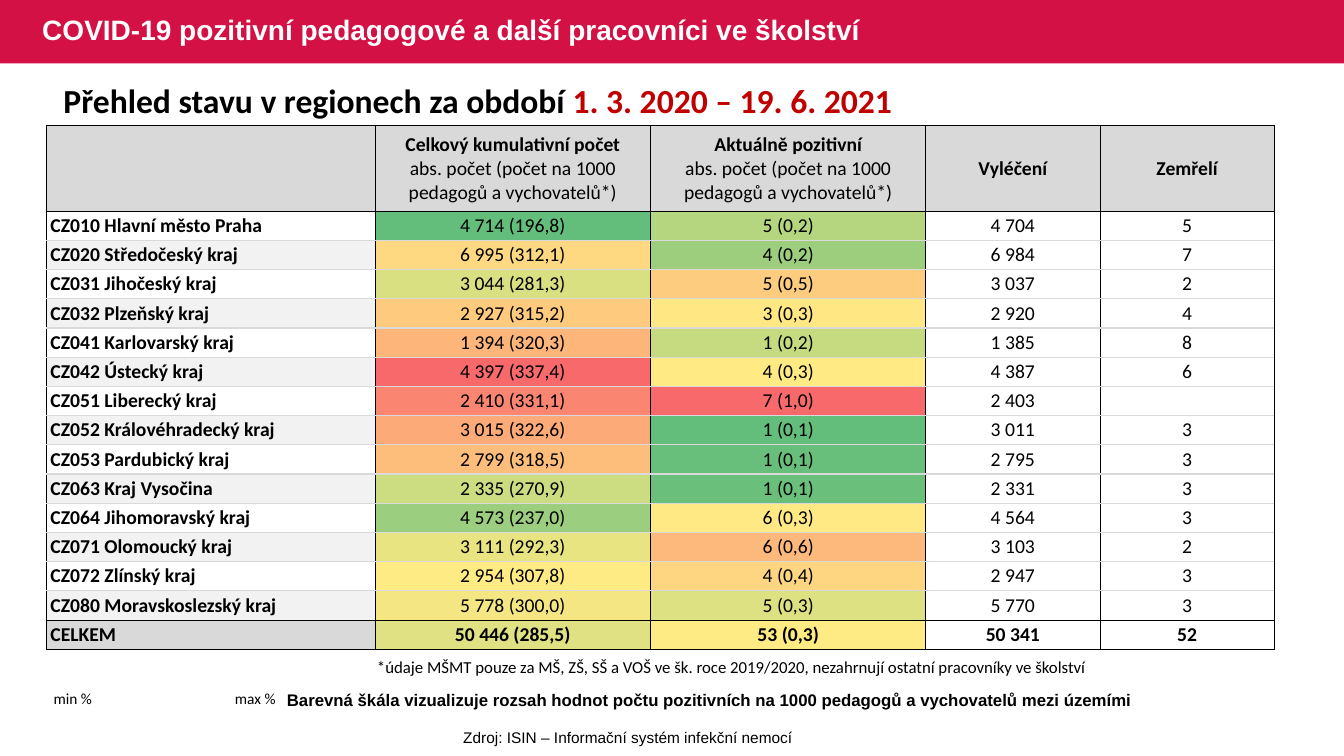
from dataclasses import dataclass

from lxml.etree import SubElement
from pptx import Presentation
from pptx.dml.color import RGBColor
from pptx.enum.shapes import MSO_SHAPE
from pptx.enum.text import MSO_ANCHOR, PP_ALIGN
from pptx.oxml.ns import qn
from pptx.util import Cm, Pt


@dataclass(frozen=True)
class Theme:
    heading_font: str = "Arial"
    body_font: str = "Calibri"
    brand: str = "D31145"
    accent: str = "C00000"
    ink: str = "000000"
    paper: str = "FFFFFF"
    header: str = "D9D9D9"
    stripe: str = "F2F2F2"
    title_size: float = 20
    subtitle_size: float = 24
    table_size: int = 14
    note_size: float = 12
    small_size: float = 11
    frame_width: float = 0.5
    rule_width: float = 1


HEADERS = [
    "",
    "Celkový kumulativní počet\nabs. počet (počet na 1000 pedagogů a vychovatelů*)",
    "Aktuálně pozitivní\nabs. počet (počet na 1000 pedagogů a vychovatelů*)",
    "Vyléčení",
    "Zemřelí",
]
REGIONS = [
    ("CZ010 Hlavní město Praha", "4 714 (196,8)", "5 (0,2)", "4 704", "5", "63BE7B", "B5D57F"),
    ("CZ020 Středočeský kraj", "6 995 (312,1)", "4 (0,2)", "6 984", "7", "FED981", "9CCE7E"),
    ("CZ031 Jihočeský kraj", "3 044 (281,3)", "5 (0,5)", "3 037", "2", "D9E081", "FECC7E"),
    ("CZ032 Plzeňský kraj", "2 927 (315,2)", "3 (0,3)", "2 920", "4", "FECB7E", "FFE784"),
    ("CZ041 Karlovarský kraj", "1 394 (320,3)", "1 (0,2)", "1 385", "8", "FDB57A", "C6DA80"),
    ("CZ042 Ústecký kraj", "4 397 (337,4)", "4 (0,3)", "4 387", "6", "F8696B", "FFEA84"),
    ("CZ051 Liberecký kraj", "2 410 (331,1)", "7 (1,0)", "2 403", "", "FA8571", "F8696B"),
    ("CZ052 Královéhradecký kraj", "3 015 (322,6)", "1 (0,1)", "3 011", "3", "FCAB78", "63BE7B"),
    ("CZ053 Pardubický kraj", "2 799 (318,5)", "1 (0,1)", "2 795", "3", "FDBD7B", "68BF7B"),
    ("CZ063 Kraj Vysočina", "2 335 (270,9)", "1 (0,1)", "2 331", "3", "CBDC81", "6AC07B"),
    ("CZ064 Jihomoravský kraj", "4 573 (237,0)", "6 (0,3)", "4 564", "3", "9BCE7E", "FFE984"),
    ("CZ071 Olomoucký kraj", "3 111 (292,3)", "6 (0,6)", "3 103", "2", "E9E482", "FDB87B"),
    ("CZ072 Zlínský kraj", "2 954 (307,8)", "4 (0,4)", "2 947", "3", "FFEB84", "FED580"),
    ("CZ080 Moravskoslezský kraj", "5 778 (300,0)", "5 (0,3)", "5 770", "3", "F4E783", "DEE182"),
    ("CELKEM", "50 446 (285,5)", "53 (0,3)", "50 341", "52", "DFE182", "FFEB84"),
]


class RegionSlide:
    def __init__(self, presentation, theme):
        self.theme = theme
        self.slide = presentation.slides.add_slide(presentation.slide_layouts[5])

    def style(self, run, size, font, bold=False, color=None):
        run.font.size = Pt(size)
        run.font.name = font
        run.font.bold = bold
        run.font.color.rgb = RGBColor.from_string(color or self.theme.ink)

    def title(self, text, left, top, width, height):
        heading = self.slide.shapes.title
        heading.left, heading.top, heading.width, heading.height = map(Cm, (left, top, width, height))
        heading.text_frame.text = text
        heading.text_frame.vertical_anchor = MSO_ANCHOR.MIDDLE
        line = heading.text_frame.paragraphs[0]
        line.alignment = PP_ALIGN.LEFT
        line.line_spacing = 0.9
        self.style(line.runs[0], self.theme.title_size, self.theme.heading_font, True, self.theme.paper)

    def band(self, width, height):
        band = self.slide.shapes.add_shape(MSO_SHAPE.RECTANGLE, 0, 0, Cm(width), Cm(height))
        band.shadow.inherit = False
        band.fill.solid()
        band.fill.fore_color.rgb = RGBColor.from_string(self.theme.brand)
        band.line.fill.background()
        self.slide.shapes.title.element.addprevious(band.element)

    def text(self, text, left, top, width, height, size, font, bold=False, align=PP_ALIGN.LEFT):
        box = self.slide.shapes.add_textbox(Cm(left), Cm(top), Cm(width), Cm(height))
        box.text_frame.word_wrap = True
        box.text_frame.text = text
        line = box.text_frame.paragraphs[0]
        line.alignment = align
        self.style(line.runs[0], size, font, bold)
        return box.text_frame

    def subtitle(self, text, period, *place):
        frame = self.text(text, *place, self.theme.subtitle_size, self.theme.body_font, True)
        dates = frame.paragraphs[0].add_run()
        dates.text = period
        self.style(dates, self.theme.subtitle_size, self.theme.body_font, True, self.theme.accent)

    def scale_labels(self, low, high, left, top, width, height):
        frame = self.text(f"{low}\t{high}", left, top, width, height, self.theme.small_size, self.theme.body_font)
        frame.margin_left = frame.margin_right = frame.margin_top = frame.margin_bottom = 0
        properties = frame.paragraphs[0]._p.get_or_add_pPr()
        stops = SubElement(properties, qn("a:tabLst"))
        SubElement(stops, qn("a:tab"), pos=str(Cm(width)), algn="r")

    def grid(self, left, top, widths, heights):
        table = self.slide.shapes.add_table(
            len(heights), len(widths), Cm(left), Cm(top), Cm(sum(widths)), Cm(sum(heights))
        ).table
        table.first_row = table.horz_banding = False
        for column, width in zip(table.columns, widths):
            column.width = Cm(width)
        for row, height in zip(table.rows, heights):
            row.height = Cm(height)
        return table

    def border(self, cell, side, framed):
        width = self.theme.frame_width if framed else self.theme.rule_width
        line = SubElement(cell._tc.get_or_add_tcPr(), qn(f"a:ln{side}"), w=str(Pt(width)))
        fill = SubElement(line, qn("a:solidFill"))
        SubElement(fill, qn("a:srgbClr"), val=self.theme.ink if framed else self.theme.header)

    def cell(self, cell, text, fill, bold=False, align=PP_ALIGN.CENTER, margin=0.03):
        cell.margin_left = cell.margin_right = Cm(margin)
        cell.margin_top = cell.margin_bottom = 0
        cell.vertical_anchor = MSO_ANCHOR.MIDDLE
        if fill:
            cell.fill.solid()
            cell.fill.fore_color.rgb = RGBColor.from_string(fill)
        else:
            cell.fill.background()
        cell.text_frame.text = text
        for index, line in enumerate(cell.text_frame.paragraphs):
            line.alignment = align
            for run in line.runs:
                self.style(run, self.theme.table_size, self.theme.body_font, bold and index == 0)
            if not line.runs:
                SubElement(line._p, qn("a:endParaRPr"), sz=str(self.theme.table_size * 100))

    def heat_scale(self, regions, *place):
        table = self.grid(*place)
        for row, (*_, total_heat, current_heat) in enumerate(regions):
            for column, heat in enumerate((total_heat, current_heat)):
                cell = table.cell(row, column)
                for side in "LRTB":
                    line = SubElement(cell._tc.get_or_add_tcPr(), qn(f"a:ln{side}"))
                    SubElement(line, qn("a:noFill"))
                self.cell(cell, "", heat)

    def overview(self, headers, regions, *place):
        table = self.grid(*place)
        last = len(regions)
        for row, values in enumerate([headers, *(region[:5] for region in regions)]):
            label_fill = None if row % 2 else self.theme.stripe
            if row in (0, last):
                label_fill = self.theme.header
            for column, value in enumerate(values):
                cell = table.cell(row, column)
                label = column == 0
                self.border(cell, "L", True)
                self.border(cell, "R", True)
                self.border(cell, "T", row in (0, 1, last))
                self.border(cell, "B", row in (0, last - 1, last))
                fill = label_fill if label or row == 0 else None
                align = PP_ALIGN.LEFT if label else PP_ALIGN.CENTER
                margin = 0.1 if label or row == 0 else 0.03
                self.cell(cell, value, fill, label or row in (0, last), align, margin)


def main():
    presentation = Presentation()
    presentation.slide_width, presentation.slide_height = Cm(33.87), Cm(19.05)
    theme = Theme()
    page = RegionSlide(presentation, theme)
    page.title("COVID-19 pozitivní pedagogové a další pracovníci ve školství", 0.81, 0, 21.64, 1.6)
    page.band(33.87, 1.6)
    row_heights = [0.736] * len(REGIONS)
    page.heat_scale(REGIONS, 9.45, 5.32, [6.95, 6.93], row_heights)
    page.overview(HEADERS, REGIONS, 1.17, 3.17, [8.28, 6.95, 6.93, 4.39, 4.39], [2.15, *row_heights])
    page.subtitle("Přehled stavu v regionech za období ", "1. 3. 2020 – 19. 6. 2021", 1.35, 1.9, 26.21, 1.28)
    page.text(
        "Barevná škála vizualizuje rozsah hodnot počtu pozitivních na 1000 pedagogů a vychovatelů mezi územími",
        6.98, 17.25, 25.45, 0.77, theme.note_size, theme.heading_font, True,
    )
    page.scale_labels("min %", "max %", 1.35, 17.37, 5.6, 0.48)
    page.text(
        "*údaje MŠMT pouze za MŠ, ZŠ, SŠ a VOŠ ve šk. roce 2019/2020, nezahrnují ostatní pracovníky ve školství",
        9.25, 16.43, 22.56, 0.77, theme.note_size, theme.body_font,
    )
    page.text(
        "Zdroj: ISIN – Informační systém infekční nemocí",
        6, 18.23, 19.66, 0.73, theme.small_size, theme.heading_font, align=PP_ALIGN.CENTER,
    )
    presentation.save("out.pptx")


if __name__ == "__main__":
    main()
